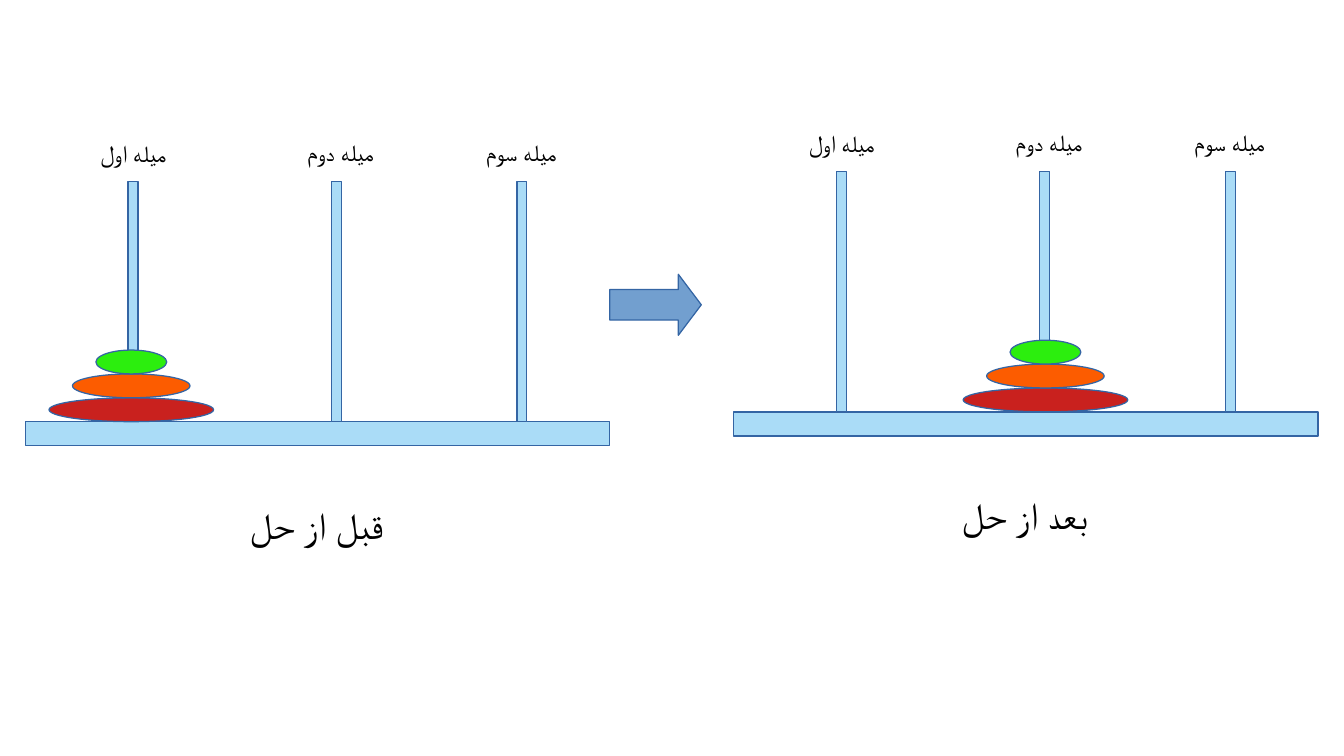
from dataclasses import dataclass

from lxml import etree
from pptx import Presentation
from pptx.dml.color import RGBColor
from pptx.enum.shapes import MSO_SHAPE
from pptx.enum.text import MSO_AUTO_SIZE, PP_ALIGN
from pptx.oxml.ns import qn
from pptx.shapes.autoshape import Shape
from pptx.slide import Slide
from pptx.util import Pt

RECTANGLE = MSO_SHAPE.RECTANGLE
OVAL = MSO_SHAPE.OVAL
RIGHT_ARROW = MSO_SHAPE.RIGHT_ARROW
CENTER = PP_ALIGN.CENTER
GROW = MSO_AUTO_SIZE.SHAPE_TO_FIT_TEXT


@dataclass(frozen=True)
class Theme:
    font: str = "Lato"
    text: str = "000000"
    outline: str = "3465A4"
    wood: str = "AADCF7"
    arrow: str = "729FCF"
    label_size: float = 14
    caption_size: float = 22


@dataclass(frozen=True)
class Rod:
    label: str
    left: float
    label_left: float
    label_top: float
    disk_center: float


@dataclass(frozen=True)
class Disk:
    width: float
    color: str


@dataclass(frozen=True)
class Puzzle:
    caption: str
    left: float
    base_top: float
    disk_rod: int


THEME = Theme()
PAGE_WIDTH, PAGE_HEIGHT = 793.44, 446.4
BASE_WIDTH, BASE_HEIGHT = 345, 14.2
ROD_WIDTH, ROD_HEIGHT = 5.9, 142
DISK_HEIGHT = 14.1
LABEL_WIDTH, LABEL_HEIGHT = 97.2, 23.8
CAPTION_WIDTH, CAPTION_HEIGHT = 346.4, 32.4

# Rod offsets are measured from the left end and the top of the base
RODS = [
    Rod("میله اول", 60.6, 15.1, -170.6, 62.5),
    Rod("میله دوم", 180.7, 137.4, -171.2, 184),
    Rod("میله سوم", 290.2, 244.1, -171.2, 293.1),
]
# Bottom to top
DISKS = [Disk(97.2, "C9211E"), Disk(69.4, "FC5C00"), Disk(41.8, "2CEE0E")]
PUZZLES = [
    Puzzle("قبل از حل", 15, 249, 0),
    Puzzle("بعد از حل", 433.2, 243.2, 1),
]


def add_figure(page: Slide, kind: int, left: float, top: float,
               width: float, height: float, fill: str) -> Shape:
    figure = page.shapes.add_shape(kind, Pt(left), Pt(top), Pt(width), Pt(height))
    figure.shadow.inherit = False
    figure.fill.solid()
    figure.fill.fore_color.rgb = RGBColor.from_string(fill)
    figure.line.color.rgb = RGBColor.from_string(THEME.outline)
    figure.line.width = Pt(0)
    return figure


def add_text(page: Slide, text: str, *, left: float, top: float,
             width: float, height: float, size: float) -> Shape:
    box = page.shapes.add_textbox(Pt(left), Pt(top), Pt(width), Pt(height))
    frame = box.text_frame
    frame.word_wrap = True
    frame.auto_size = GROW
    para = frame.paragraphs[0]
    para.alignment = CENTER
    span = para.add_run()
    span.text = text
    span.font.name = THEME.font
    span.font.size = Pt(size)
    span.font.color.rgb = RGBColor.from_string(THEME.text)
    # Persian takes the complex-script font and runs right to left
    complex_font = etree.SubElement(span._r.get_or_add_rPr(), qn("a:cs"))
    complex_font.set("typeface", THEME.font)
    para._p.get_or_add_pPr().set("rtl", "1")
    return box


def add_puzzle(page: Slide, puzzle: Puzzle) -> None:
    left, top = puzzle.left, puzzle.base_top

    # Base and rods
    add_figure(page, RECTANGLE, left, top, BASE_WIDTH, BASE_HEIGHT, THEME.wood)
    for rod in RODS:
        add_figure(page, RECTANGLE, left + rod.left, top - ROD_HEIGHT,
                   ROD_WIDTH, ROD_HEIGHT, THEME.wood)

    # Stacked disks
    center = left + RODS[puzzle.disk_rod].disk_center
    for level, disk in enumerate(DISKS, start=1):
        add_figure(page, OVAL, center - disk.width / 2, top - level * DISK_HEIGHT,
                   disk.width, DISK_HEIGHT, disk.color)

    # Rod labels and caption
    for rod in RODS:
        add_text(page, rod.label, left=left + rod.label_left, top=top + rod.label_top,
                 width=LABEL_WIDTH, height=LABEL_HEIGHT, size=THEME.label_size)
    add_text(page, puzzle.caption, left=left - 1.3, top=top + 44,
             width=CAPTION_WIDTH, height=CAPTION_HEIGHT, size=THEME.caption_size)


def main() -> None:
    deck = Presentation()
    deck.slide_width, deck.slide_height = Pt(PAGE_WIDTH), Pt(PAGE_HEIGHT)
    page = deck.slides.add_slide(deck.slide_layouts[6])

    for puzzle in PUZZLES:
        add_puzzle(page, puzzle)

    # Arrow from the start to the solved state
    arrow = add_figure(page, RIGHT_ARROW, 360, 162, 54, 36, THEME.arrow)
    arrow.adjustments[0] = 0.5
    arrow.adjustments[1] = 0.375

    deck.save("out.pptx")


if __name__ == "__main__":
    main()
